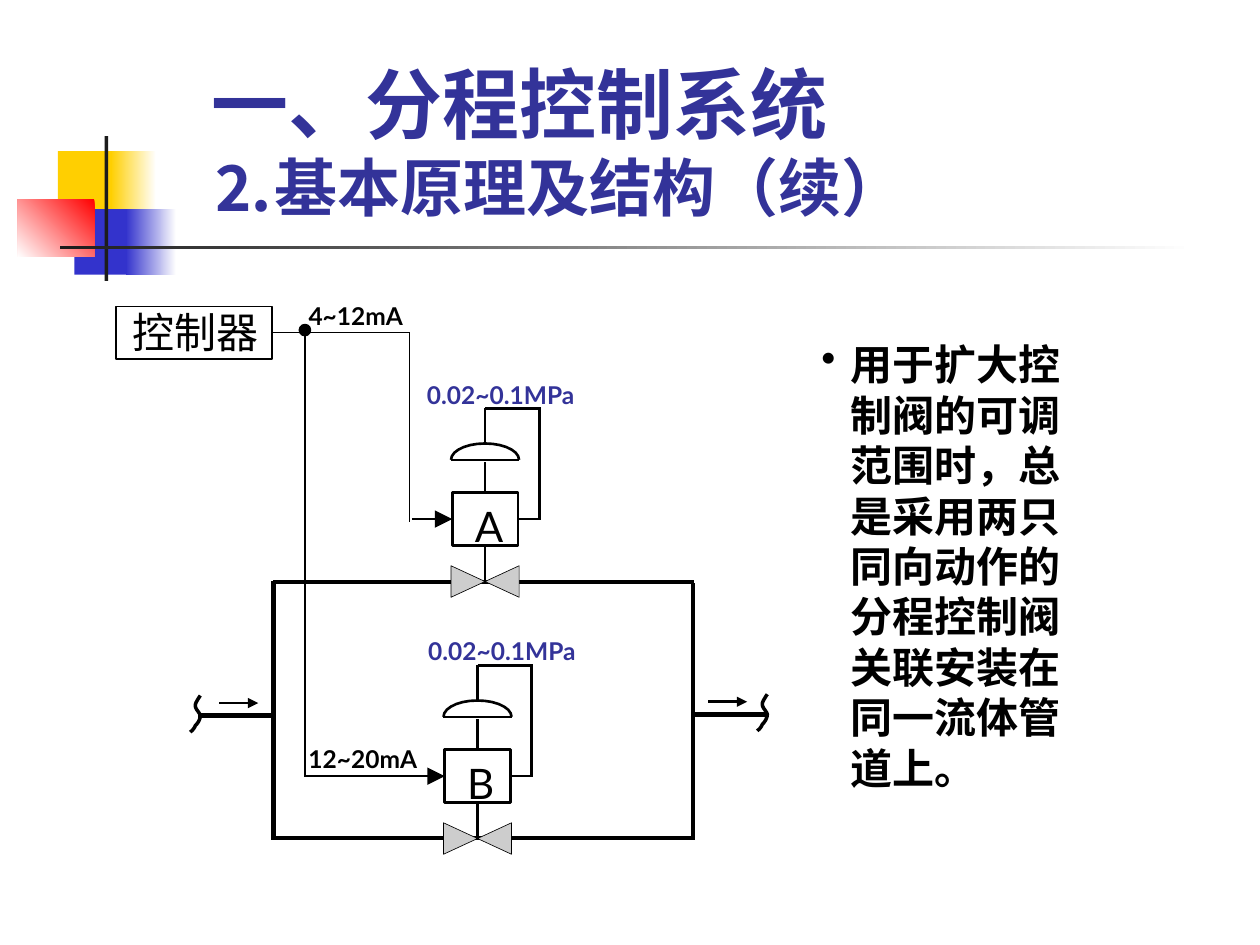
from math import cos, pi, sin

from lxml.etree import SubElement
from pptx import Presentation
from pptx.dml.color import RGBColor
from pptx.enum.shapes import MSO_CONNECTOR as Connector, MSO_SHAPE as Preset
from pptx.enum.text import MSO_ANCHOR as Anchor
from pptx.oxml.ns import qn
from pptx.util import Inches, Pt

COLORS = {
    "black": "000000",
    "white": "FFFFFF",
    "charcoal": "1C1C1C",
    "yellow": "FFCF01",
    "blue": "3333CC",
    "red": "FF0000",
    "navy": "333399",
    "gray": "CDCDCD",
}
RIGHT, LEFT = 3, 1


def rgb(name):
    return RGBColor.from_string(COLORS[name])


def add_run(paragraph, text, size=24, font="Lato", color="black", bold=False):
    run = paragraph.add_run()
    run.text = text
    run.font.size = Pt(size)
    run.font.name = font
    run.font.bold = bold
    run.font.color.rgb = rgb(color)
    SubElement(run.font._element, qn("a:ea"), typeface="Lato")


def bezier(start, first, second, end, steps=6):
    for step in range(1, steps + 1):
        t = step / steps
        u = 1 - t
        yield tuple(
            u**3 * a + 3 * u * u * t * b + 3 * u * t * t * c + t**3 * d
            for a, b, c, d in zip(start, first, second, end)
        )


class Diagram:
    def __init__(self, slide, color="black"):
        self.slide = slide
        self.color = color

    def style(self, shape, fill, width):
        shape.shadow.inherit = False
        if fill:
            shape.fill.solid()
            shape.fill.fore_color.rgb = rgb(fill)
        else:
            shape.fill.background()
        if width:
            shape.line.color.rgb = rgb(self.color)
            shape.line.width = Pt(width)
        else:
            shape.line.fill.background()
        return shape

    def box(self, left, top, width, height, fill=None, line=0, preset=Preset.RECTANGLE):
        shape = self.slide.shapes.add_shape(
            preset, Inches(left), Inches(top), Inches(width), Inches(height)
        )
        return self.style(shape, fill, line)

    def gradient(self, left, top, width, height, start, end, angle=180):
        shape = self.box(left, top, width, height)
        shape.fill.gradient()
        shape.fill.gradient_angle = angle
        for stop, color, position in zip(shape.fill.gradient_stops, (start, end), (0, 1)):
            stop.color.rgb = rgb(color)
            stop.position = position

    def line(self, x1, y1, x2, y2, width=1.5, arrow=None, source=None, target=None):
        connector = self.slide.shapes.add_connector(
            Connector.STRAIGHT, Inches(x1), Inches(y1), Inches(x2), Inches(y2)
        )
        connector.line.color.rgb = rgb(self.color)
        connector.line.width = Pt(width)
        if arrow:
            SubElement(
                connector.line._get_or_add_ln(), qn("a:tailEnd"), type="triangle", w=arrow, len=arrow
            )
        SubElement(connector._element.spPr, qn("a:effectLst"))
        if source:
            connector.begin_connect(source, RIGHT)
        if target:
            connector.end_connect(target, LEFT)

    def outline(self, points, width, fill=None, close=False):
        corners = [(Inches(x), Inches(y)) for x, y in points]
        builder = self.slide.shapes.build_freeform(*corners[0])
        builder.add_line_segments(corners[1:], close=close)
        self.style(builder.convert_to_shape(), fill, width)

    def text(self, left, top, width, height, text="", anchor=Anchor.TOP, **font):
        frame = self.slide.shapes.add_textbox(
            Inches(left), Inches(top), Inches(width), Inches(height)
        ).text_frame
        frame.word_wrap = True
        frame.vertical_anchor = anchor
        paragraph = frame.paragraphs[0]
        if text:
            add_run(paragraph, text, **font)
        return paragraph

    def valve(self, name, x, y):
        right, bottom = x + 0.54, y + 1.5
        middle = x + 0.27
        self.line(middle, y + 0.43, middle, y + 1.38)
        self.outline(
            [(right, bottom), (right, bottom - 0.25), (x, bottom), (x, bottom - 0.25)],
            0.37, "gray", close=True,
        )
        self.line(x, y + 0.41, right, y + 0.41)
        angles = [pi * step / 14 for step in range(15)]
        self.outline(
            [(middle - 0.27 * cos(a), y + 0.41 - 0.13 * sin(a)) for a in angles], 1.5
        )
        body = self.box(x + 0.01, y + 0.67, 0.52, 0.42, "white", 1.5)
        self.line(middle, y + 0.28, middle, y)
        self.line(middle, y, x + 0.71, y)
        self.line(x + 0.7, y, x + 0.7, y + 0.89)
        self.line(x + 0.53, y + 0.88, x + 0.7, y + 0.88, source=body)
        self.text(x + 0.09, y + 0.68, 0.54, 0.5, name)
        return body

    def pipe_break(self, x, y):
        knots = [
            (0.08, 0), (0.06, 0.03), (0.04, 0.06), (0.04, 0.08),
            (0.04, 0.11), (0.08, 0.14), (0.08, 0.16),
            (0.08, 0.19), (0.06, 0.22), (0.04, 0.24),
            (0.03, 0.27), (0, 0.29), (0, 0.29),
        ]
        curve = [knots[0]]
        for index in range(0, len(knots) - 1, 3):
            curve.extend(bezier(*knots[index:index + 4]))
        self.outline([(x + dx, y + dy) for dx, dy in curve], 2)


def add_decoration(diagram):
    diagram.box(0.46, 1.2, 0.48, 0.52, "yellow")
    diagram.gradient(0.88, 1.2, 0.36, 0.52, "white", "yellow")
    diagram.box(0.59, 1.66, 0.46, 0.52, "blue")
    diagram.gradient(1, 1.66, 0.4, 0.52, "white", "blue")
    diagram.gradient(0.14, 1.58, 0.61, 0.46, "red", "white", 225)
    diagram.box(0.83, 1.08, 0.03, 1.15, "charcoal")
    diagram.gradient(0.48, 1.95, 9, 0.03, "white", "charcoal")


def add_wording(diagram):
    title = diagram.text(1.58, 0.23, 5.75, 1.6, anchor=Anchor.BOTTOM)
    heading = {"color": "navy", "bold": True}
    add_run(title, "一、分程控制系统", size=44, **heading)
    title.add_line_break()
    add_run(title, "⒉", size=36, **heading)
    add_run(title, "基本原理及结构（续）", size=36, font="Times New Roman", **heading)

    body = diagram.text(
        6.42, 2.64, 2.17, 3.7,
        "用于扩大控制阀的可调范围时，总是采用两只同向动作的分程控制阀关联安装在同一流体管道上。",
        font="Noto Sans CJK SC", bold=True,
    )
    properties = body._p.get_or_add_pPr()
    properties.set("marL", str(Inches(0.23)))
    properties.set("indent", str(-Inches(0.23)))
    SubElement(properties, qn("a:buChar"), char="•")


def add_loop(diagram):
    diagram.line(2.17, 6.65, 5.51, 6.65, 2.5)
    diagram.line(5.49, 5.67, 6.08, 5.67, 2.5)
    valve_b = diagram.valve("B", 3.52, 5.28)
    diagram.pipe_break(1.51, 5.52)
    diagram.pipe_break(6.01, 5.51)
    diagram.line(2.17, 4.62, 5.51, 4.62, 2.5)
    valve_a = diagram.valve("A", 3.58, 3.24)

    controller = diagram.box(0.92, 2.43, 1.24, 0.42, line=0.75)
    diagram.text(0.95, 2.38, 1.32, 0.5, "控制器")
    diagram.line(3.27, 4.12, 3.59, 4.12, 0.75, "lg", target=valve_a)
    diagram.line(2.42, 6.16, 3.53, 6.16, 0.75, "lg", target=valve_b)
    diagram.line(3.25, 2.64, 3.25, 4.14, 0.75)
    diagram.line(2.16, 2.64, 3.25, 2.64, 0.75, source=controller)
    for left, top, width, label, color in (
        (2.35, 2.34, 1.29, "4~12mA", "black"),
        (2.35, 5.86, 1.44, "12~20mA", "black"),
        (3.29, 2.97, 1.9, "0.02~0.1MPa", "navy"),
        (3.3, 5, 1.95, "0.02~0.1MPa", "navy"),
    ):
        diagram.text(left, top, width, 0.34, label, size=14, color=color, bold=True)

    diagram.line(2.42, 2.64, 2.42, 6.17)
    diagram.box(2.38, 2.58, 0.08, 0.08, "black", 1.5, Preset.FLOWCHART_CONNECTOR)
    diagram.line(2.17, 4.61, 2.17, 6.67, 2.5)
    diagram.line(5.5, 4.63, 5.5, 6.67, 2.5)
    diagram.line(1.57, 5.68, 2.16, 5.68, 2.5)
    for x, y in ((1.74, 5.58), (5.62, 5.57)):
        diagram.line(x, y, x + 0.31, y, arrow="med")


def main():
    presentation = Presentation()
    presentation.slide_width, presentation.slide_height = Inches(10), Inches(7.5)
    diagram = Diagram(presentation.slides.add_slide(presentation.slide_layouts[6]))
    add_decoration(diagram)
    add_wording(diagram)
    add_loop(diagram)
    presentation.save("out.pptx")


if __name__ == "__main__":
    main()
